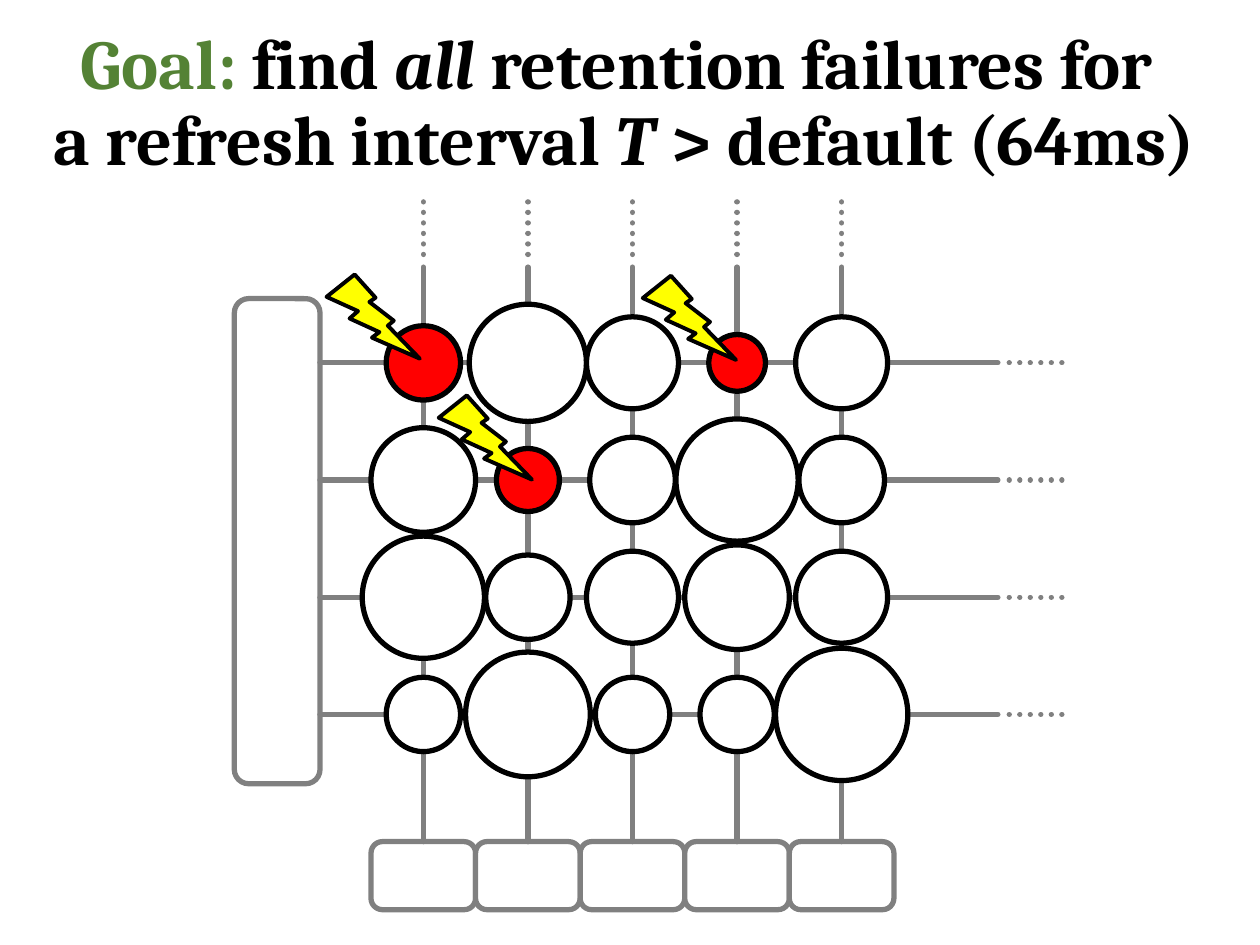
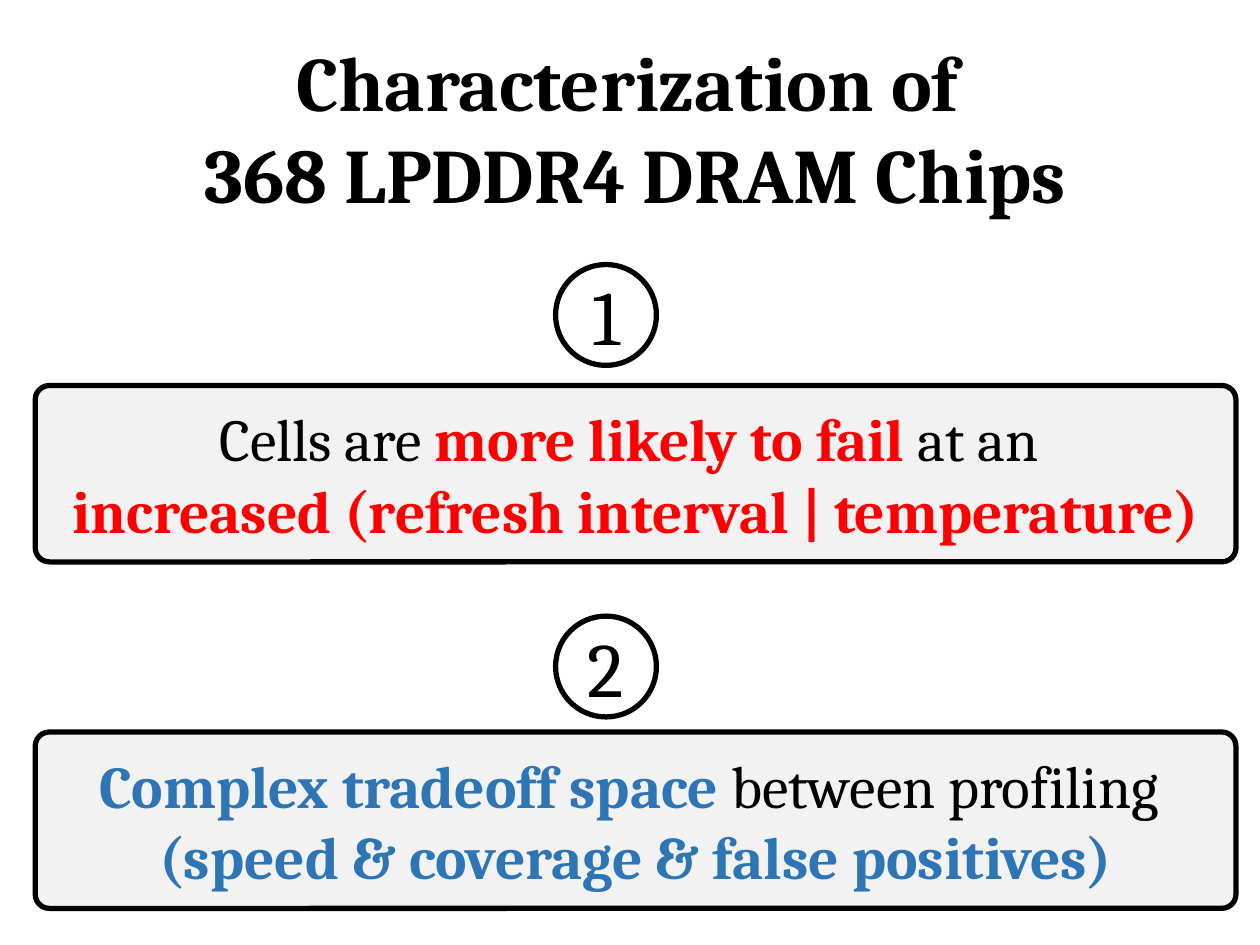
import pptx
import pptx.util
import pptx.dml.color
import pptx.enum.dml
import pptx.enum.shapes
import pptx.enum.text
import pptx.oxml
import pptx.oxml.ns

Inches = pptx.util.Inches
Pt = pptx.util.Pt
Preset = pptx.enum.shapes.MSO_SHAPE
Anchor = pptx.enum.text.MSO_ANCHOR

BLACK, WHITE, GRAY, PALE = "000000", "FFFFFF", "808080", "F2F2F2"
RED, YELLOW, GREEN, BLUE = "FF0000", "FFFF00", "548235", "2E75B6"


def paint(target, color):
    if hasattr(target, "solid"):
        target.solid()
        target = target.fore_color
    else:
        target = target.color
    target.rgb = pptx.dml.color.RGBColor.from_string(color)


def write(frame, size, lines, anchor, spacing=1.0):
    frame.word_wrap = True
    frame.auto_size = pptx.enum.text.MSO_AUTO_SIZE.NONE
    frame.vertical_anchor = anchor
    for number, line in enumerate(lines):
        paragraph = frame.add_paragraph() if number else frame.paragraphs[0]
        paragraph.alignment = pptx.enum.text.PP_ALIGN.CENTER
        paragraph.line_spacing = spacing
        paragraph.space_before = Pt(0)
        for text, color, style in line:
            run = paragraph.add_run()
            run.text = text
            run.font.name = "Cambria"
            run.font.size = Pt(size)
            run.font.bold = "b" in style
            run.font.italic = "i" in style
            paint(run.font, color)


presentation = pptx.Presentation()
presentation.slide_width = Inches(10)
presentation.slide_height = Inches(7.5)

headings = [
    ((0, 0.18, 9.91, 1.12), 40, 0.9, [
        [("Goal: ", GREEN, "b"), ("find ", BLACK, "b"), ("all", BLACK, "bi"),
         (" retention failures for ", BLACK, "b")],
        [("a refresh interval ", BLACK, "b"), ("T ", BLACK, "bi"),
         ("> default (64ms)", BLACK, "b")]]),
    ((0.35, 0.22, 9.39, 1.6), 44, 1.0, [
        [("Characterization of ", BLACK, "b")],
        [("368 LPDDR4 DRAM Chips", BLACK, "b")]]),
]
for place, size, spacing, lines in headings:
    slide = presentation.slides.add_slide(presentation.slide_layouts[5])
    heading = slide.shapes.title
    heading.left, heading.top, heading.width, heading.height = map(Inches, place)
    write(heading.text_frame, size, lines, Anchor.TOP, spacing)
goal, findings = presentation.slides

column_pitch = 0.83
columns = [3.36 + column_pitch * i for i in range(5)]
rows = [2.88 + 0.93 * i for i in range(4)]
cell_sizes = [
    [0.59, 0.93, 0.73, 0.45, 0.73],
    [0.83, 0.5, 0.68, 0.97, 0.68],
    [0.97, 0.67, 0.73, 0.83, 0.73],
    [0.59, 0.99, 0.59, 0.59, 1.05],
]
failing_cells = [(0, 0), (0, 3), (1, 1)]

array_parts = [(Preset.ROUNDED_RECTANGLE, (1.86, 2.37, 0.68, 3.85), WHITE, GRAY, 3, 0)]
for x in columns:
    array_parts.append((Preset.ROUNDED_RECTANGLE,
                        (x - column_pitch / 2, 6.68, column_pitch, 0.54), WHITE, GRAY, 3, 0))
periphery_count = len(array_parts)
for row, y in enumerate(rows):
    for column, x in enumerate(columns):
        size = cell_sizes[row][column]
        color = RED if (row, column) in failing_cells else WHITE
        array_parts.append((Preset.OVAL, (x - size / 2, y - size / 2, size, size),
                            color, BLACK, 3, 0))
for left, top in [(5.14, 2.17), (2.63, 2.16), (3.52, 3.12)]:
    array_parts.append((Preset.LIGHTNING_BOLT, (left, top, 0.64, 0.75),
                        YELLOW, BLACK, 2.25, 349.7))

wires = []
for y in rows:
    wires += [(2.54, y, 7.92, y, False, None), (8.01, y, 8.47, y, True, None)]
for column, x in enumerate(columns):
    wires += [(x, 2.12, x, 6.68, False, column + 1), (x, 2.02, x, 1.57, True, None)]

periphery = []
for number, (preset, place, fill, outline, weight, turn) in enumerate(array_parts):
    if number == periphery_count:
        for x1, y1, x2, y2, dotted, sense_amplifier in wires:
            wire = goal.shapes.add_connector(
                pptx.enum.shapes.MSO_CONNECTOR.STRAIGHT, *map(Inches, (x1, y1, x2, y2)))
            paint(wire.line, GRAY)
            wire.line.width = Pt(3)
            if dotted:
                wire.line.dash_style = pptx.enum.dml.MSO_LINE.ROUND_DOT
            if sense_amplifier:
                wire.end_connect(periphery[sense_amplifier], 0)
            properties = wire.element.spPr
            properties.find(pptx.oxml.ns.qn("a:ln")).set("cap", "rnd")
            properties.append(pptx.oxml.parse_xml(
                "<a:effectLst %s/>" % pptx.oxml.ns.nsdecls("a")))
    part = goal.shapes.add_shape(preset, *map(Inches, place))
    part.shadow.inherit = False
    part.rotation = turn
    paint(part.fill, fill)
    paint(part.line, outline)
    part.line.width = Pt(weight)
    periphery.append(part)

messages = [
    ("1", 2.1, 3.06, [
        [("Cells are ", BLACK, ""), ("more likely to fail ", RED, "b"), ("at an ", BLACK, "")],
        [("increased (refresh interval | temperature)", RED, "b")]]),
    ("2", 4.89, 5.81, [
        [("Complex tradeoff space ", BLUE, "b"), ("between profiling ", BLACK, "")],
        [("(speed & coverage & false positives)", BLUE, "b")]]),
]
for digit, badge_top, panel_top, lines in messages:
    for preset, place, fill, size, content in [
        (Preset.OVAL, (4.41, badge_top, 0.8, 0.8), WHITE, 44, [[(digit, BLACK, "")]]),
        (Preset.ROUNDED_RECTANGLE, (0.28, panel_top, 9.53, 1.4), PALE, 34, lines),
    ]:
        panel = findings.shapes.add_shape(preset, *map(Inches, place))
        panel.shadow.inherit = False
        if preset == Preset.ROUNDED_RECTANGLE:
            panel.adjustments[0] = 0.08
        paint(panel.fill, fill)
        paint(panel.line, BLACK)
        panel.line.width = Pt(3)
        write(panel.text_frame, size, content, Anchor.MIDDLE)

presentation.save("out.pptx")
